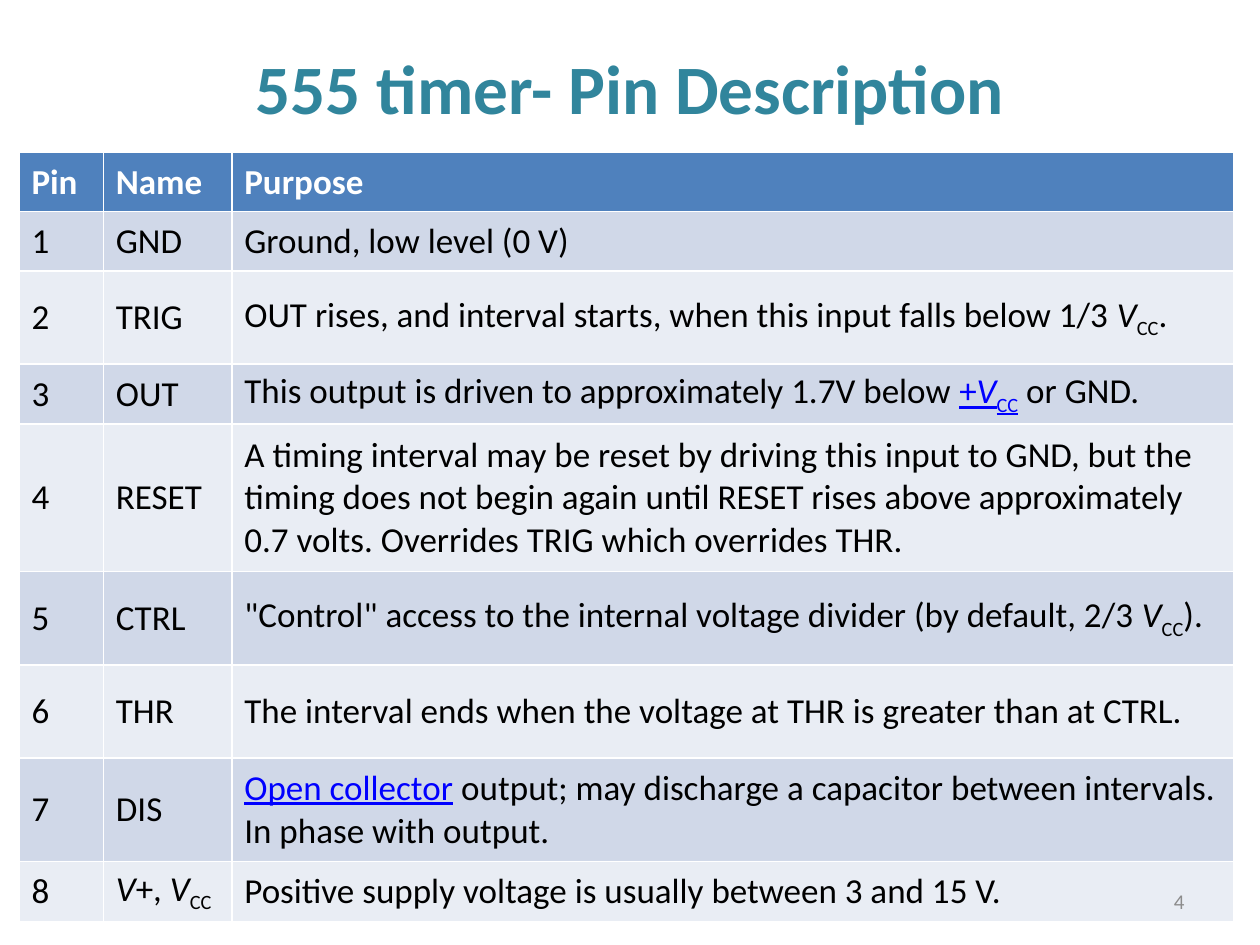
from pptx import Presentation
from pptx import util as u
from pptx.dml.color import RGBColor
from pptx.enum import text

TEAL = RGBColor(0x31, 0x85, 0x9C)
HEADER = RGBColor(0x4F, 0x81, 0xBD)
BANDS = [RGBColor(0xD0, 0xD8, 0xE8), RGBColor(0xE9, 0xED, 0xF4)]
WHITE = RGBColor(0xFF, 0xFF, 0xFF)
BLACK = RGBColor(0, 0, 0)
LINK = RGBColor(0, 0, 0xFF)
GRAY = RGBColor(0x8C, 0x8C, 0x8C)
FONT = "Calibri"

TITLE = "555 timer- Pin Description"
PAGE = "4"
PLAIN, ITALIC, SUB, UNDER = "", "i", "s", "u"
VCC = [("V", ITALIC), ("CC", SUB)]
HEADINGS = ["Pin", "Name", "Purpose"]
PINS = [
    ("GND", "Ground, low level (0 V)"),
    ("TRIG", [("OUT rises, and interval starts, when this input falls below 1/3 ", PLAIN),
              *VCC, (".", PLAIN)]),
    ("OUT", [("This output is driven to approximately 1.7V below ", PLAIN), ("+", UNDER),
             *[(part, style + UNDER) for part, style in VCC], (" or GND.", PLAIN)]),
    ("RESET", "A timing interval may be reset by driving this input to GND, but the timing "
              "does not begin again until RESET rises above approximately 0.7 volts. "
              "Overrides TRIG which overrides THR."),
    ("CTRL", [('"Control" access to the internal voltage divider (by default, 2/3 ', PLAIN),
              *VCC, (").", PLAIN)]),
    ("THR", "The interval ends when the voltage at THR is greater than at CTRL."),
    ("DIS", [("Open collector", UNDER),
             (" output; may discharge a capacitor between intervals. "
              "In phase with output.", PLAIN)]),
    ([("V", ITALIC), ("+, ", PLAIN), *VCC],
     "Positive supply voltage is usually between 3 and 15 V."),
]
COLUMNS = [0.67, 1.02, 7.95]
ROWS = [0.47, 0.47, 0.74, 0.47, 1.17, 0.74, 0.74, 0.82, 0.47]


def box(left, top, width, height):
    return [u.Inches(length) for length in (left, top, width, height)]


def write(frame, content, size, color, bold=False, align=text.PP_ALIGN.LEFT):
    frame.word_wrap = True
    paragraph = frame.paragraphs[0]
    paragraph.alignment = align
    font = paragraph.font
    font.name, font.size, font.bold = FONT, u.Pt(size), bold
    for words, style in [(content, PLAIN)] if isinstance(content, str) else content:
        run = paragraph.add_run()
        run.text = words
        run.font.name, run.font.size, run.font.bold = FONT, u.Pt(size), bold
        run.font.color.rgb = LINK if UNDER in style else color
        if ITALIC in style:
            run.font.italic = True
        if UNDER in style:
            run.font.underline = True
        if SUB in style:
            run.font._element.set("baseline", "-25000")


deck = Presentation()
deck.slide_width, deck.slide_height = u.Inches(10), u.Inches(7.5)
slide = deck.slides.add_slide(deck.slide_layouts[5])

title = slide.shapes.title
title.left, title.top, title.width, title.height = box(0.5, 0.3, 9, 0.77)
title.text_frame.vertical_anchor = text.MSO_ANCHOR.MIDDLE
write(title.text_frame, TITLE, 39.6, TEAL, True, text.PP_ALIGN.CENTER)

lines = [HEADINGS] + [(str(pin), *line) for pin, line in enumerate(PINS, 1)]
pins = slide.shapes.add_table(
    len(ROWS), len(COLUMNS), *box(0.15, 1.21, sum(COLUMNS), sum(ROWS))).table
for column, width in zip(pins.columns, COLUMNS):
    column.width = u.Inches(width)
for row, height in zip(pins.rows, ROWS):
    row.height = u.Inches(height)
for r, line in enumerate(lines):
    for c, content in enumerate(line):
        cell = pins.cell(r, c)
        cell.vertical_anchor = text.MSO_ANCHOR.MIDDLE
        cell.fill.solid()
        cell.fill.fore_color.rgb = BANDS[(r - 1) % 2] if r else HEADER
        write(cell.text_frame, content, 20, BLACK if r else WHITE, r == 0)

page = slide.shapes.add_textbox(*box(7.17, 6.95, 2.33, 0.4)).text_frame
page.vertical_anchor = text.MSO_ANCHOR.MIDDLE
write(page, PAGE, 12, GRAY, align=text.PP_ALIGN.RIGHT)

deck.save("out.pptx")
